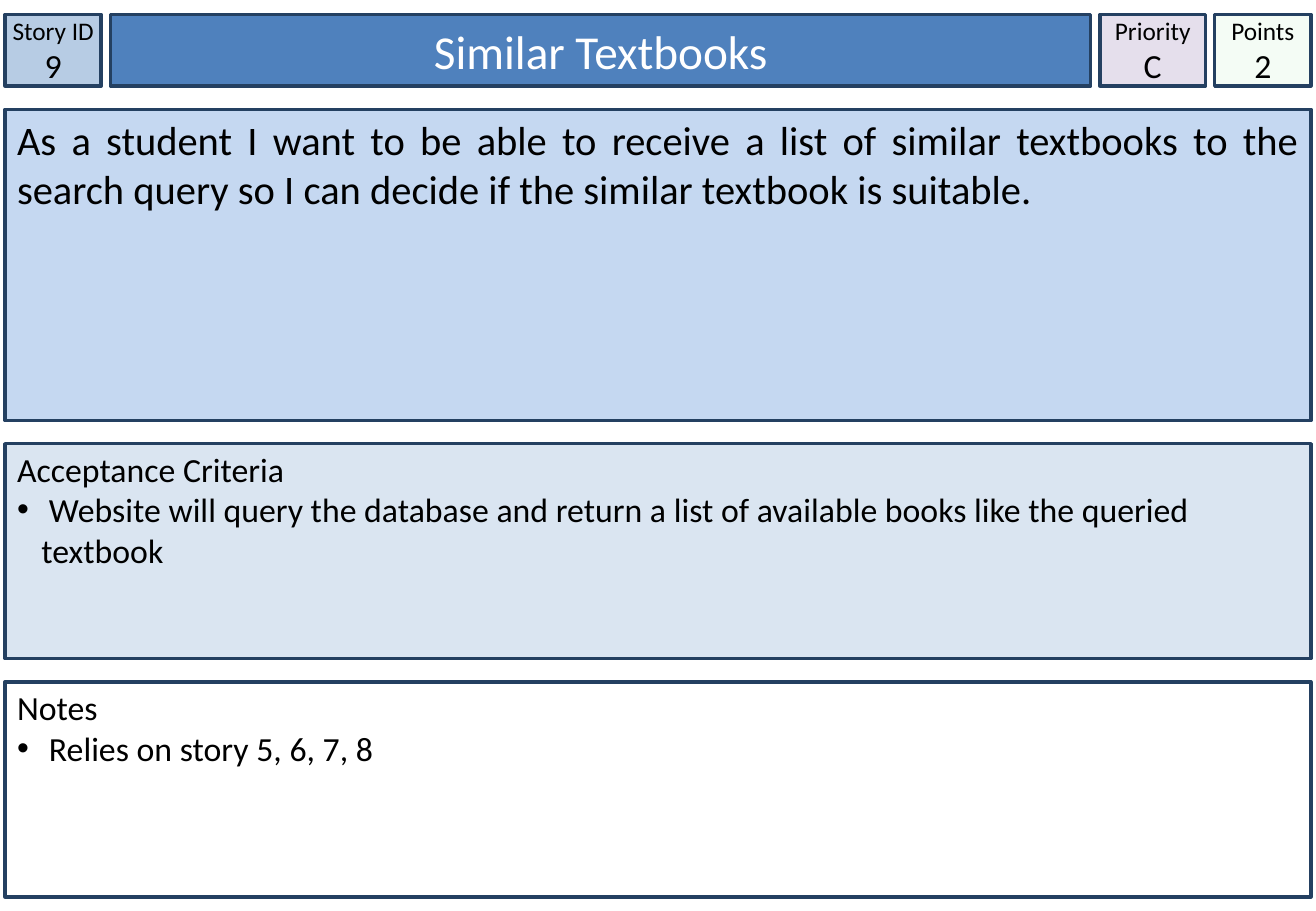
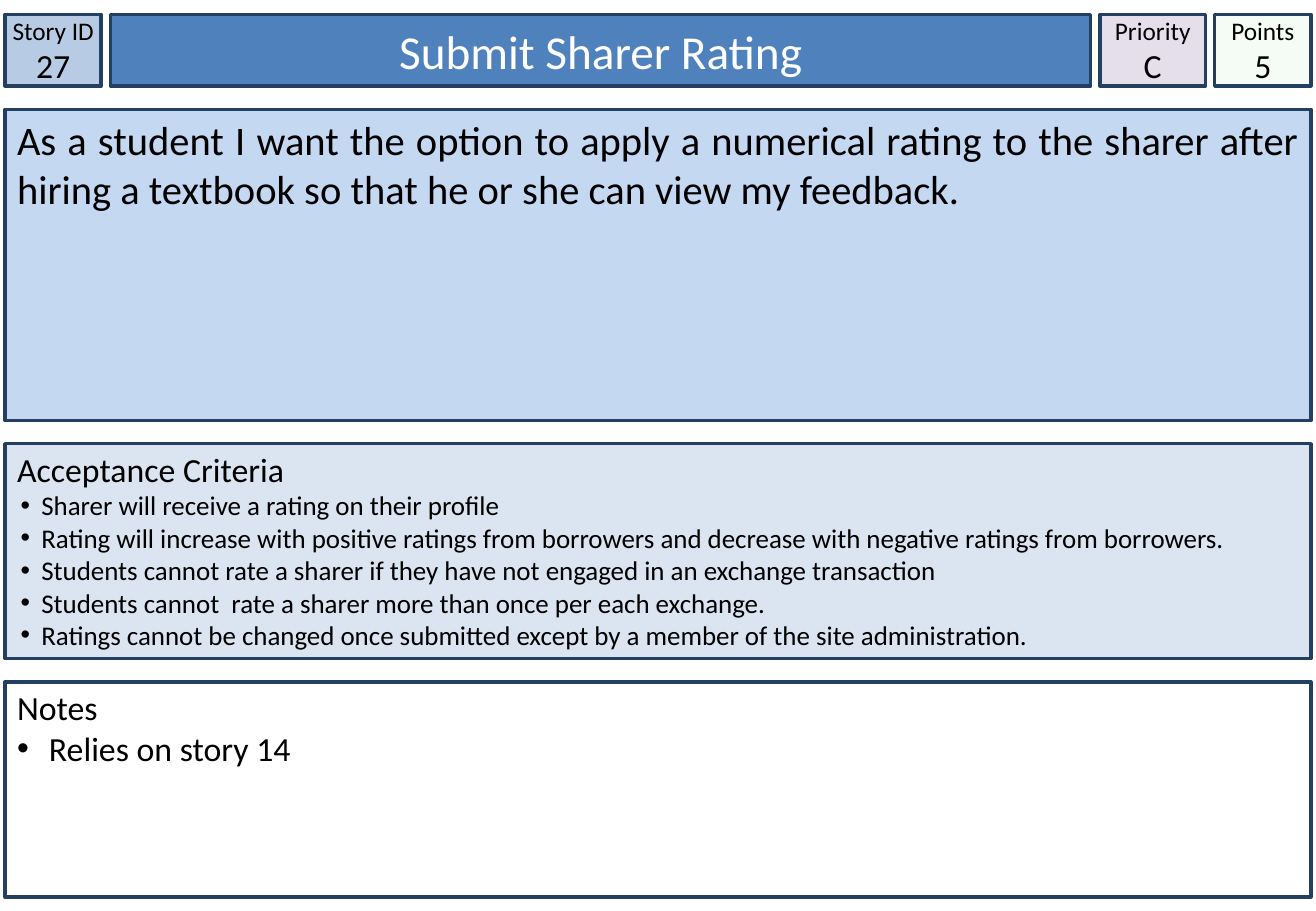
"""Build two user story cards."""
from lxml import etree
from pptx import Presentation
from pptx.dml.color import RGBColor
from pptx.enum.shapes import MSO_SHAPE
from pptx.enum.text import MSO_ANCHOR, MSO_AUTO_SIZE, PP_ALIGN
from pptx.oxml.ns import qn
from pptx.util import Pt

RECT = MSO_SHAPE.RECTANGLE
TOP, MIDDLE = MSO_ANCHOR.TOP, MSO_ANCHOR.MIDDLE
LEFT, CENTER, JUSTIFY = PP_ALIGN.LEFT, PP_ALIGN.CENTER, PP_ALIGN.JUSTIFY
NO_FIT = MSO_AUTO_SIZE.NONE

STORIES = [
    {
        "id": "9", "title": "Similar Textbooks", "priority": "C", "points": "2",
        "story": "As a student I want to be able to receive a list of similar textbooks "
                 "to the search query so I can decide if the similar textbook is suitable.",
        "criteria": [" Website will query the database and return a list of available "
                     "books like the queried textbook"],
        "criteria_size": 20, "criteria_hang": 14.4,
        "notes": [" Relies on story 5, 6, 7, 8"],
    },
    {
        "id": "27", "title": "Submit Sharer Rating", "priority": "C", "points": "5",
        "story": "As a student I want the option to apply a numerical rating to the sharer "
                 "after hiring a textbook so that he or she can view my feedback.",
        "criteria": [
            "Sharer will receive a rating on their profile",
            "Rating will increase with positive ratings from borrowers and decrease "
            "with negative ratings from borrowers.",
            "Students cannot rate a sharer if they have not engaged in an exchange transaction",
            "Students cannot  rate a sharer more than once per each exchange.",
            "Ratings cannot be changed once submitted except by a member of the site "
            "administration.",
        ],
        "criteria_size": 16, "criteria_hang": 12.24,
        "notes": [" Relies on story 14"],
    },
]

FONT, BLACK, WHITE, BORDER = "Calibri", "000000", "FFFFFF", "244061"
INDENT = 14.4
EDGE, HEAD_TOP, HEAD_H = 3, 8.5, 42.5
COL_GAP, ROW_GAP = 5.5, 13.75
HEAD_CELLS = [
    ("id", "Story ID", 57, "B7CCE4"),
    ("title", None, 581, "4F81BD"),
    ("priority", "Priority", 62.5, "E5DFEC"),
    ("points", "Points", 57, "CCF0CD"),
]
POINTS_ALPHA = 20
PANELS = [
    ("story", None, 184.5, "C5D8F1"),
    ("criteria", "Acceptance Criteria", 127.5, "DAE5F1"),
    ("notes", "Notes", 127.5, WHITE),
]
PANEL_W = sum(c[2] for c in HEAD_CELLS) + COL_GAP * (len(HEAD_CELLS) - 1)


def rgb(value):
    """Turn a hex string into a colour."""
    return RGBColor.from_string(value)


def style_box(sp, place, fill, anchor, side=7.2, top=3.6):
    """Place a box and give it the card's fill, border and margins."""
    for name, value in zip(("left", "top", "width", "height"), place):
        setattr(sp, name, Pt(value))
    sp.fill.solid()
    sp.fill.fore_color.rgb = rgb(fill)
    sp.line.color.rgb = rgb(BORDER)
    sp.line.width = Pt(2)
    frame = {"word_wrap": True, "auto_size": NO_FIT, "vertical_anchor": anchor,
             "margin_left": Pt(side), "margin_right": Pt(side),
             "margin_top": Pt(top), "margin_bottom": Pt(3.6)}
    for name, value in frame.items():
        setattr(sp.text_frame, name, value)


def add_box(s, *args, **kwargs):
    """Add a styled rectangle without a shadow."""
    sp = s.shapes.add_shape(RECT, 0, 0, 0, 0)
    sp.shadow.inherit = False
    style_box(sp, *args, **kwargs)
    return sp


def write(tf, lines, align):
    """Write lines of (text, size, colour, hang); a hang makes a bullet."""
    for i, (text, size, color, hang) in enumerate(lines):
        p = tf.add_paragraph() if i else tf.paragraphs[0]
        p.alignment = align
        if hang:
            pPr = p._p.get_or_add_pPr()
            pPr.set("marL", str(Pt(INDENT)))
            pPr.set("indent", str(-Pt(hang)))
            etree.SubElement(pPr, qn("a:buFont")).set("typeface", "Arial")
            etree.SubElement(pPr, qn("a:buChar")).set("char", "•")
        r = p.add_run()
        r.text = text
        for name, value in {"name": FONT, "size": Pt(size), "bold": False}.items():
            setattr(r.font, name, value)
        r.font.color.rgb = rgb(color)


def set_alpha(sp, percent):
    """Make a solid fill partly transparent."""
    color = sp._element.spPr.find(qn("a:solidFill"))[0]
    etree.SubElement(color, qn("a:alpha")).set("val", str(percent * 1000))


def add_header(s, story):
    """Lay out the title and the three small cells in a row."""
    x = EDGE
    for key, label, width, fill in HEAD_CELLS:
        place = (x, HEAD_TOP, width, HEAD_H)
        if key == "title":
            sp = s.shapes.title
            style_box(sp, place, fill, MIDDLE)
            lines = [(story[key], 28, WHITE, 0)]
        else:
            sp = add_box(s, place, fill, MIDDLE, side=0)
            lines = [(label, 15, BLACK, 0), (story[key], 20, BLACK, 0)]
        if key == "points":
            set_alpha(sp, POINTS_ALPHA)
        write(sp.text_frame, lines, CENTER)
        x += width + COL_GAP


def add_panels(s, story):
    """Stack the story, criteria and notes panels."""
    y = HEAD_TOP + HEAD_H + ROW_GAP
    for key, heading, height, fill in PANELS:
        sp = add_box(s, (EDGE, y, PANEL_W, height), fill, TOP, top=2.88 if heading else 3.6)
        if heading:
            size = story.get(key + "_size", 20)
            hang = story.get(key + "_hang", INDENT)
            lines = [(heading, 20, BLACK, 0)]
            lines += [(item, size, BLACK, hang) for item in story[key]]
            write(sp.text_frame, lines, LEFT)
        else:
            write(sp.text_frame, [(story[key], 24, BLACK, 0)], JUSTIFY)
        y += height + ROW_GAP


def main():
    """Build and save the cards."""
    prs = Presentation()
    prs.slide_width, prs.slide_height = Pt(780), Pt(540)
    for story in STORIES:
        s = prs.slides.add_slide(prs.slide_layouts[5])
        add_header(s, story)
        add_panels(s, story)
    prs.save("out.pptx")


if __name__ == "__main__":
    main()
